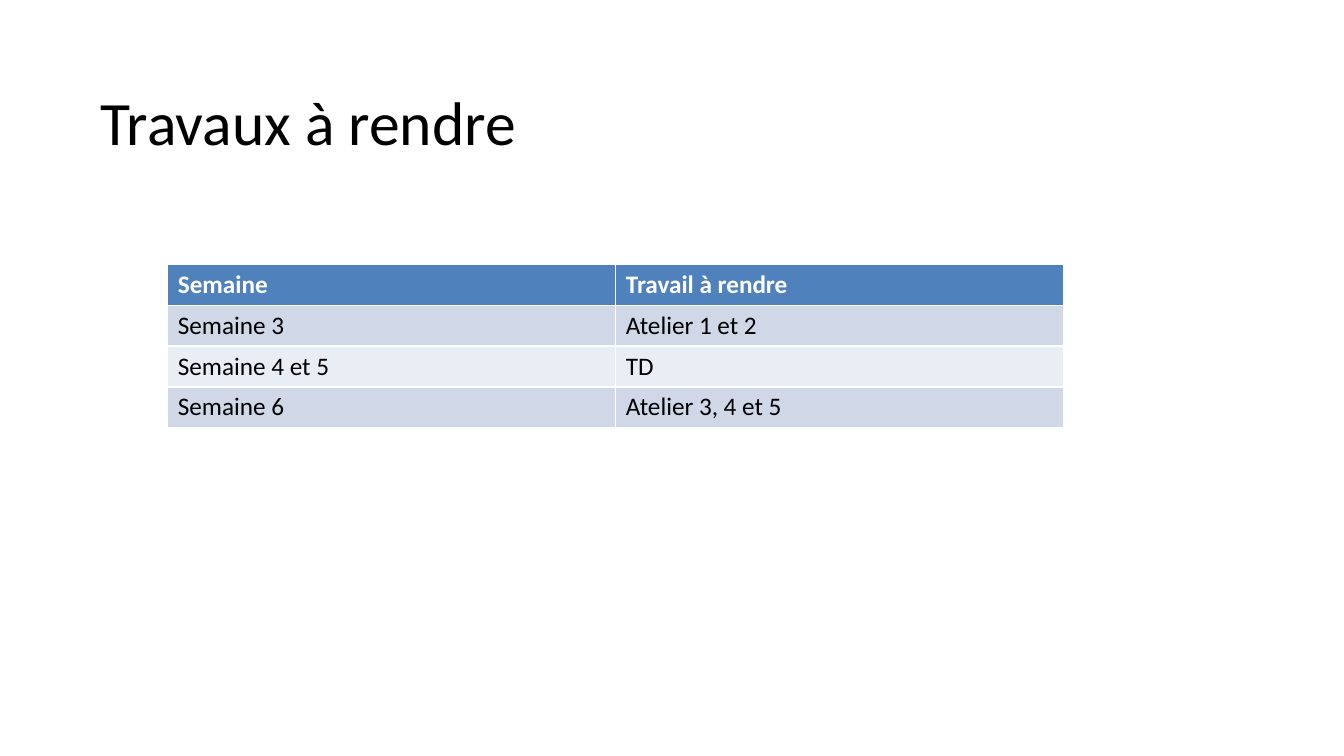
from dataclasses import dataclass

from pptx import Presentation
from pptx.dml.color import RGBColor
from pptx.enum.text import MSO_ANCHOR
from pptx.util import Cm, Pt

TOP = MSO_ANCHOR.TOP
BLANK_LAYOUT = 6


@dataclass(frozen=True)
class Theme:
    font: str = "Calibri"
    title_size: int = 44
    table_size: int = 18
    text: str = "000000"
    header_text: str = "FFFFFF"
    header_fill: str = "4F81BD"
    band_fills: tuple = ("D0D8E8", "E9EDF4")


THEME = Theme()

DEADLINES = [
    ("Semaine", "Travail à rendre"),
    ("Semaine 3", "Atelier 1 et 2"),
    ("Semaine 4 et 5", "TD"),
    ("Semaine 6", "Atelier 3, 4 et 5"),
]


def write(frame, text, size, color, bold=False):
    paragraph = frame.paragraphs[0]
    paragraph.text = text
    font = paragraph.font
    font.name = THEME.font
    font.size = Pt(size)
    font.bold = bold
    font.color.rgb = RGBColor.from_string(color)


def add_title(slide, text, left, top, width, height):
    frame = slide.shapes.add_textbox(left, top, width, height).text_frame
    frame.word_wrap = True
    frame.vertical_anchor = TOP
    frame.margin_left = frame.margin_top = 0
    frame.margin_right = frame.margin_bottom = 0
    write(frame, text, THEME.title_size, THEME.text)


def add_banded_table(slide, rows, left, top, width, row_height):
    # The default table style supplies the white cell borders
    table = slide.shapes.add_table(
        len(rows), len(rows[0]), left, top, width, row_height * len(rows)
    ).table
    for r, row in enumerate(rows):
        header = r == 0
        fill = THEME.header_fill if header else THEME.band_fills[(r - 1) % 2]
        color = THEME.header_text if header else THEME.text
        for c, text in enumerate(row):
            cell = table.cell(r, c)
            cell.fill.solid()
            cell.fill.fore_color.rgb = RGBColor.from_string(fill)
            write(cell.text_frame, text, THEME.table_size, color, bold=header)


def main():
    prs = Presentation()
    prs.slide_width, prs.slide_height = Cm(33.87), Cm(19.05)
    slide = prs.slides.add_slide(prs.slide_layouts[BLANK_LAYOUT])

    # Heading
    add_title(slide, "Travaux à rendre", Cm(2.54), Cm(2.12), Cm(28.79), Cm(1.88))

    # Work due by week
    add_banded_table(slide, DEADLINES, Cm(4.23), Cm(6.66), Cm(22.58), Cm(1.03))

    prs.save("out.pptx")


if __name__ == "__main__":
    main()
